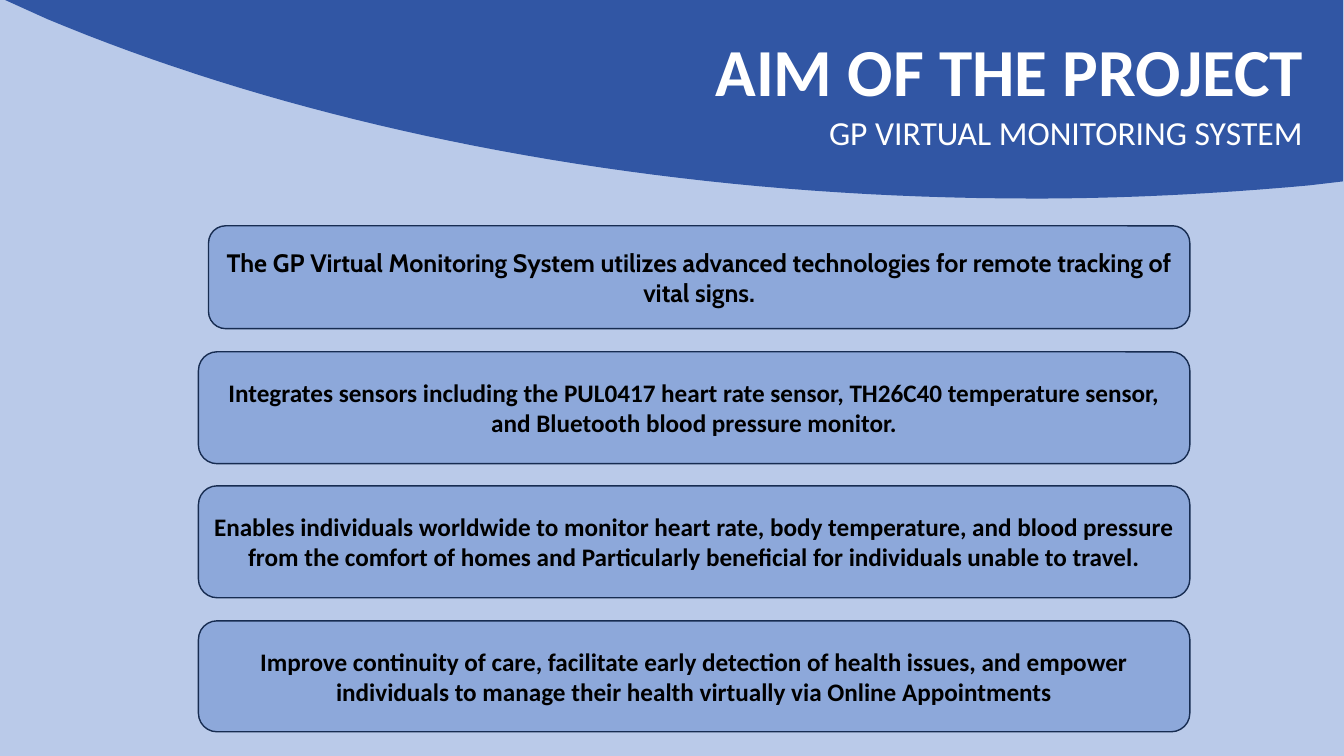
from lxml.etree import SubElement
from pptx import Presentation
from pptx.dml.color import RGBColor
from pptx.enum.shapes import MSO_SHAPE as Shape
from pptx.enum.text import MSO_ANCHOR as Anchor, MSO_AUTO_SIZE as AutoSize, PP_ALIGN as Align
from pptx.oxml.ns import qn
from pptx.util import Pt

PX = 9144  # 100 px to the inch
SLIDE_SIZE = (1334, 750)
COLORS = {"background": "BACAE9", "wave": "3156A4", "box": "4472C4",
          "outline": "172C51", "heading": "FFFFFF", "text": "000000"}
BOX_OPACITY = 38

# text, (left, top, width, height), anchor, format
HEADINGS = [
    ("AIM OF THE PROJECT", (92, 2, 1242, 145), Anchor.MIDDLE,
     {"name": "Calibri", "size": Pt(48), "bold": True}),
    ("GP VIRTUAL MONITORING SYSTEM", (333, 111, 1000, 78), Anchor.TOP,
     {"name": "Calibri", "size": Pt(24), "bold": False}),
]
# text, left, top, height, font
AIMS = [
    ("The GP Virtual Monitoring System utilizes advanced technologies for remote tracking "
     "of vital signs.", 207, 224, 102, "Cabin"),
    ("Integrates sensors including the PUL0417 heart rate sensor, TH26C40 temperature "
     "sensor, and Bluetooth blood pressure monitor.", 197, 349, 111, "Calibri"),
    ("Enables individuals worldwide to monitor heart rate, body temperature, and blood "
     "pressure from the comfort of homes and Particularly beneficial for individuals "
     "unable to travel.", 197, 482, 111, "Calibri"),
    ("Improve continuity of care, facilitate early detection of health issues, and empower "
     "individuals to manage their health virtually via Online Appointments",
     197, 616, 110, "Calibri"),
]
AIMS_RIGHT = 1181
WAVE_START = (5, 0)
WAVE_CORNERS = [(1333, 0), (1333, 180), (1299, 184)]
WAVE_CURVES = [
    [(1299, 184), (1210, 192), (1119, 197), (1026, 197)],
    [(1026, 197), (654, 197), (313, 130), (47, 19)],
]
CURVE_STEPS = 40


def rgb(name):
    return RGBColor.from_string(COLORS[name])


def emu(*lengths):
    return [round(length * PX) for length in lengths]


def curve_points(controls):
    """Sample a cubic Bezier curve, leaving out its first point."""
    for step in range(1, CURVE_STEPS + 1):
        t = step / CURVE_STEPS
        weights = ((1 - t) ** 3, 3 * t * (1 - t) ** 2, 3 * t * t * (1 - t), t ** 3)
        yield tuple(sum(w * c for w, c in zip(weights, axis)) for axis in zip(*controls))


def write(shape, text, anchor, align, color, font, right_inset=10):
    frame = shape.text_frame
    settings = {"word_wrap": True, "auto_size": AutoSize.NONE, "vertical_anchor": anchor,
                "margin_left": 10 * PX, "margin_right": right_inset * PX,
                "margin_top": 5 * PX, "margin_bottom": 5 * PX}
    for key, value in settings.items():
        setattr(frame, key, value)
    para = frame.paragraphs[0]
    para.alignment = align
    para.space_before = Pt(0)
    span = para.add_run()
    span.text = text
    for key, value in font.items():
        setattr(span.font, key, value)
    span.font.color.rgb = rgb(color)
    return para


def add_wave(page):
    builder = page.shapes.build_freeform(*emu(*WAVE_START))
    points = WAVE_CORNERS + [p for curve in WAVE_CURVES for p in curve_points(curve)]
    builder.add_line_segments([emu(*point) for point in points], close=True)
    wave = builder.convert_to_shape()
    wave.shadow.inherit = False
    wave.fill.solid()
    wave.fill.fore_color.rgb = rgb("wave")
    wave.line.fill.background()
    page.shapes.title.element.addprevious(wave.element)  # behind the headings


def add_aim(page, text, left, top, height, font_name):
    box = page.shapes.add_shape(Shape.ROUNDED_RECTANGLE,
                                *emu(left, top, AIMS_RIGHT - left, height))
    box.shadow.inherit = False
    box.fill.solid()
    box.fill.fore_color.rgb = rgb("box")
    fill_color = box.element.spPr.find(qn("a:solidFill")).find(qn("a:srgbClr"))
    SubElement(fill_color, qn("a:alpha")).set("val", str(BOX_OPACITY * 1000))
    box.line.color.rgb = rgb("outline")
    box.line.width = Pt(1)
    write(box, text, Anchor.MIDDLE, Align.CENTER, "text",
          {"name": font_name, "size": Pt(18), "bold": True})


def main():
    deck = Presentation()
    deck.slide_width, deck.slide_height = emu(*SLIDE_SIZE)
    page = deck.slides.add_slide(deck.slide_layouts[0])
    page.background.fill.solid()
    page.background.fill.fore_color.rgb = rgb("background")

    add_wave(page)
    for holder, (text, place, anchor, font) in zip(page.placeholders, HEADINGS):
        holder.left, holder.top, holder.width, holder.height = emu(*place)
        para = write(holder, text, anchor, Align.RIGHT, "heading", font, right_inset=40)
        para.line_spacing = 0.9
    for aim in AIMS:
        add_aim(page, *aim)
    deck.save("out.pptx")


if __name__ == "__main__":
    main()
